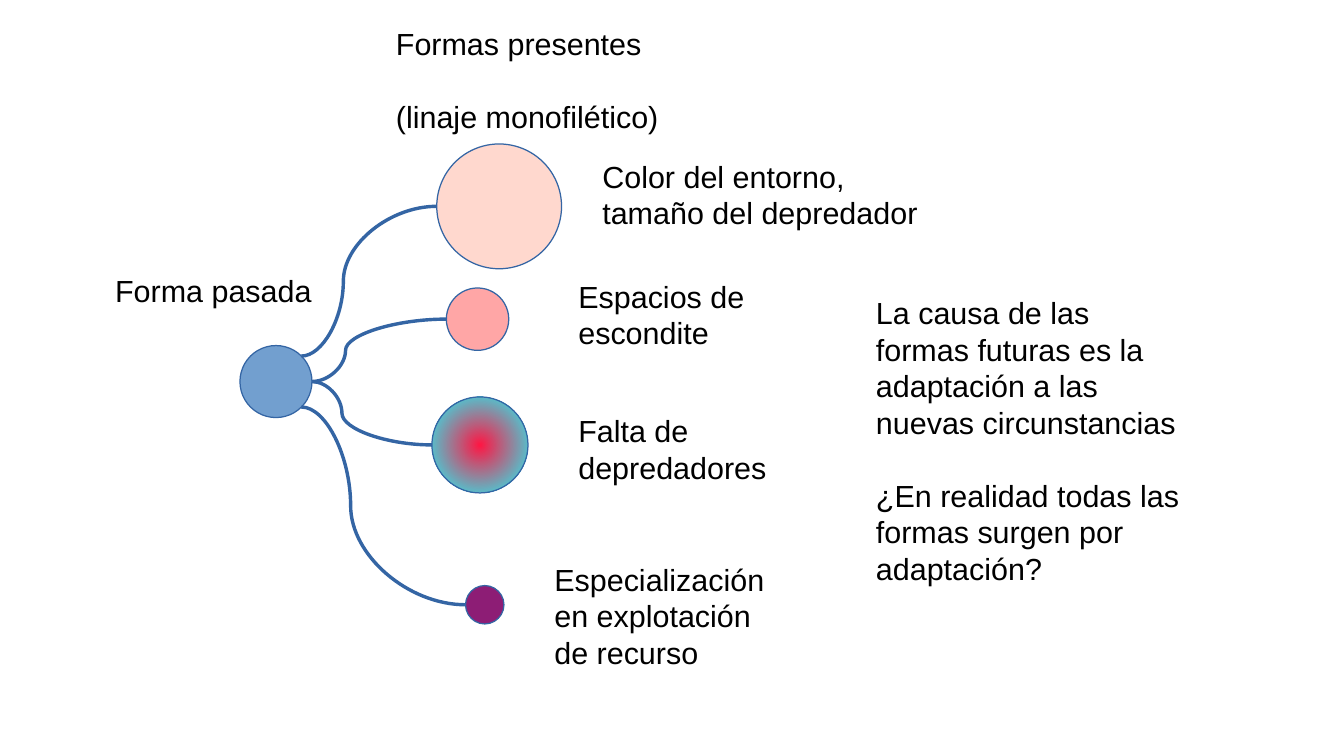
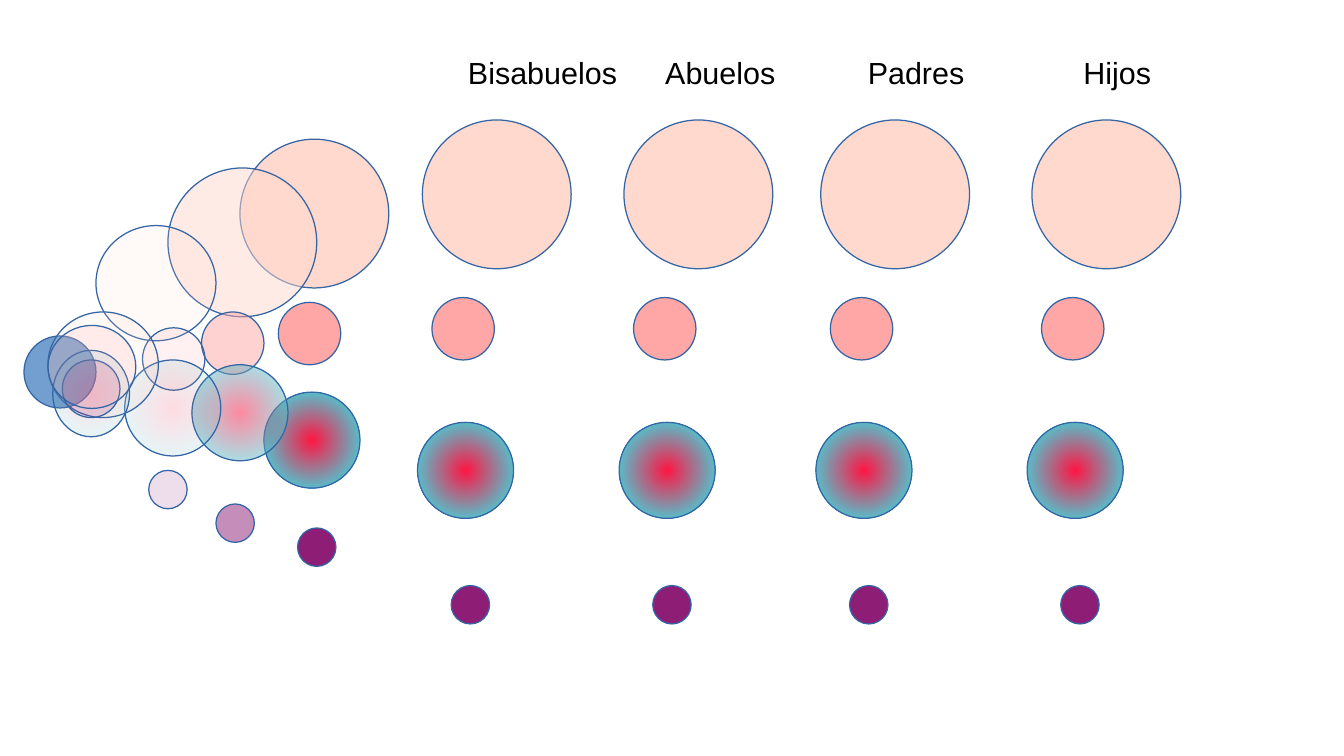
from dataclasses import dataclass

from lxml import etree
from pptx import Presentation
from pptx.dml.color import RGBColor as Rgb
from pptx.enum import shapes as kinds, text as txt
from pptx.oxml import ns
from pptx.util import Cm, Pt


@dataclass(frozen=True)
class Theme:
    font: str = "Arial"
    size: int = 18
    gap: float = 21.5
    ink: str = "000000"
    line: str = "3465A4"
    past: tuple = ("729FCF",)
    peach: tuple = ("FFD8CE",)
    rose: tuple = ("FFA6A6",)
    glow: tuple = ("FF1744", "18FFFF")
    plum: tuple = ("8D1D75",)


T = Theme()
FORMS = (T.peach, T.rose, T.glow, T.plum)
SIZES = (3.1, 1.3, 2, 0.8)


def sub(node, tag, **attrs):
    return etree.SubElement(node, ns.qn(tag), attrs)


def stroke(line):
    line.color.rgb = Rgb.from_string(T.line)
    line.width = 0


def radial(fill, tints, props):
    fill.gradient()
    for stop, tint in zip(fill.gradient_stops, tints):
        stop.color.rgb = Rgb.from_string(tint)
    grad = props.find(ns.qn("a:gradFill"))
    grad.remove(grad.find(ns.qn("a:lin")))
    ring = sub(grad, "a:path", path="circle")
    sub(ring, "a:fillToRect", l="50000", t="50000", r="50000", b="50000")


def circle(slide, tints, left, top, wide, high=None, alpha=100):
    shape = slide.shapes.add_shape(
        kinds.MSO_SHAPE.OVAL, Cm(left), Cm(top), Cm(wide), Cm(high or wide))
    shape.shadow.inherit = False
    props = shape._element.spPr
    if len(tints) > 1:
        radial(shape.fill, tints, props)
    else:
        shape.fill.solid()
        shape.fill.fore_color.rgb = Rgb.from_string(tints[0])
    if alpha < 100:
        for tint in props.iter(ns.qn("a:srgbClr")):
            sub(tint, "a:alpha", val=str(alpha * 1000))
    stroke(shape.line)
    return shape


def curve(slide, start, end, bend):
    link = slide.shapes.add_connector(
        kinds.MSO_CONNECTOR.CURVE, *map(Cm, start + end))
    stroke(link.line)
    props = link._element.spPr
    sub(props, "a:effectLst")
    guides = props.find(ns.qn("a:prstGeom")).get_or_add_avLst()
    sub(guides, "a:gd", name="adj1", fmla=f"val {round(bend * 100000)}")


def write(slide, *lines, left, top, wide, high, wrap=True):
    box = slide.shapes.add_textbox(Cm(left), Cm(top), Cm(wide), Cm(high))
    frame = box.text_frame
    frame.word_wrap = wrap
    frame.auto_size = txt.MSO_AUTO_SIZE.SHAPE_TO_FIT_TEXT
    for num, line in enumerate(lines):
        para = frame.add_paragraph() if num else frame.paragraphs[0]
        para.text = line
        para.font.name = T.font
        para.font.size = Pt(T.size)
        para.font.color.rgb = Rgb.from_string(T.ink)
        if num:
            para.space_before = Pt(T.gap)


def lineage(slide):
    circle(slide, T.past, 5, 7.2, 1.5)
    forms = (
        (T.peach, 9.1, 3, 2.6, (6.28, 7.42), 0.31),
        (T.rose, 9.3, 6, 1.3, (6.5, 7.95), 0.25),
        (T.glow, 9, 8.27, 2, (6.5, 7.95), 0.25),
        (T.plum, 9.7, 12.2, 0.8, (6.28, 8.48), 0.3),
    )
    for tints, left, top, size, start, bend in forms:
        circle(slide, tints, left, top, size)
        curve(slide, start, (left, top + size / 2), bend)

    write(slide, "Forma pasada", left=2.15, top=5.54, wide=4.6, high=0.97,
          wrap=False)
    write(slide, "Formas presentes", "(linaje monofilético)",
          left=8, top=0.4, wide=7, high=3.8)
    write(slide,
          "La causa de las formas futuras es la adaptación a las nuevas circunstancias",
          "¿En realidad todas las formas surgen por adaptación?",
          left=18, top=6, wide=7, high=5.94)
    causes = (
        ("Color del entorno, tamaño del depredador", 12.3, 3.16, 7.7, 1.68),
        ("Espacios de escondite", 11.8, 5.66, 5.2, 1.68),
        ("Falta de depredadores", 11.8, 8.46, 5.2, 1.68),
        ("Especialización en explotación de recurso", 11.3, 11.56, 5.2, 2.39),
    )
    for cause, left, top, wide, high in causes:
        write(slide, cause, left=left, top=top, wide=wide, high=high)


def ages(slide):
    cols = (
        ("Hijos", 21.5, 22.32),
        ("Padres", 17.1, 17.83),
        ("Abuelos", 13, 13.61),
        ("Bisabuelos", 8.8, 9.5),
    )
    rows = ((0, 2.5), (0.2, 6.2), (-0.1, 8.8), (0.6, 12.2))
    for name, left, edge in cols:
        for tints, size, (shift, top) in zip(FORMS, SIZES, rows):
            circle(slide, tints, left + shift, top, size)
        write(slide, name, left=edge, top=1, wide=3.7, high=0.97, wrap=False)


def origin(slide):
    steps = (
        (100, ((5, 2.9), (5.8, 6.3), (5.5, 8.17), (6.2, 11))),
        (50, ((3.5, 3.5), (4.2, 6.5), (4, 7.6), (4.5, 10.5))),
        (15, ((2, 4.7, 2.5, 2.4), (2.97, 6.83), (2.6, 7.5), (3.1, 9.8))),
    )
    for alpha, spots in steps:
        for tints, size, (left, top, *dims) in zip(FORMS, SIZES, spots):
            circle(slide, tints, left, top, *(dims or [size]), alpha=alpha)
    circle(slide, T.past, 0.5, 7, 1.5)
    veils = (
        (T.peach, 1, 6.5, 2.3, 2.2),
        (T.glow, 1.1, 7.3, 1.6, 1.8),
        (T.plum, 1.3, 7.5, 1.2, 1.2),
        (T.rose, 1, 6.78, 1.83, 1.73),
    )
    for veil in veils:
        circle(slide, *veil, alpha=15)


def main():
    deck = Presentation()
    deck.slide_width, deck.slide_height = Cm(28), Cm(15.75)
    blank = deck.slide_layouts[6]
    lineage(deck.slides.add_slide(blank))
    slide = deck.slides.add_slide(blank)
    ages(slide)
    origin(slide)
    deck.save("out.pptx")


if __name__ == "__main__":
    main()
